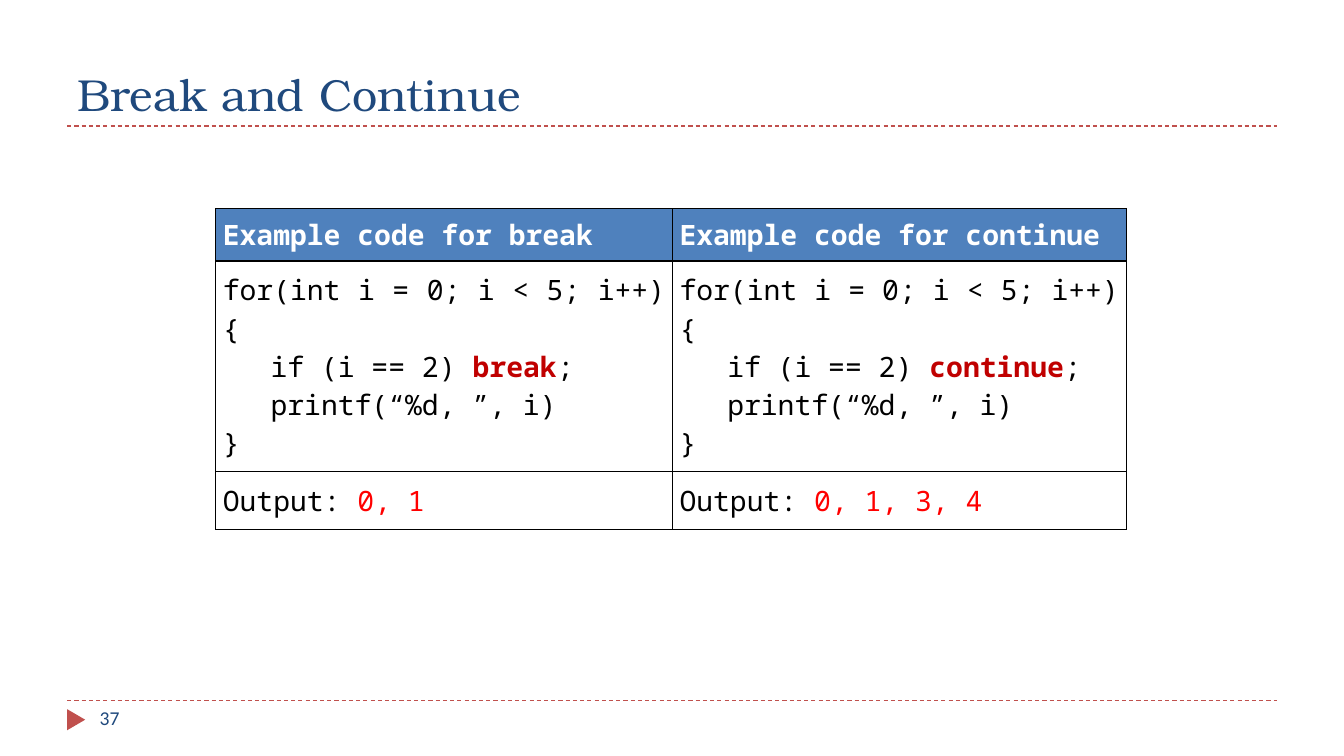
from lxml import etree
from pptx import Presentation
from pptx.dml.color import RGBColor
from pptx.enum.dml import MSO_LINE
from pptx.enum.shapes import MSO_CONNECTOR, MSO_SHAPE
from pptx.enum.text import MSO_ANCHOR, PP_ALIGN
from pptx.oxml.ns import qn
from pptx.util import Inches, Pt

STRAIGHT = MSO_CONNECTOR.STRAIGHT
TRIANGLE = MSO_SHAPE.ISOSCELES_TRIANGLE
DASH = MSO_LINE.DASH
JUSTIFY = PP_ALIGN.JUSTIFY
LEFT = PP_ALIGN.LEFT
MIDDLE = MSO_ANCHOR.MIDDLE
BOTTOM = MSO_ANCHOR.BOTTOM

WIDTH, HEIGHT = 13.33, 7.5
COLUMN = WIDTH / 20
MARGIN, CONTENT = COLUMN, 18 * COLUMN
TITLE_RULE, FOOTER_RULE = HEIGHT / 6, 6.95

NAVY, RED, BLUE = "1F497D", "C0504D", "4F81BD"
BLACK, WHITE, KEYWORD, RESULT = "000000", "FFFFFF", "C00000", "FF0000"
TITLE_FONT, CODE_FONT, NUMBER_FONT = "TeX Gyre Bonum", "Noto Sans Mono", "Calibri"

TABLE_LEFT, TABLE_TOP = 2.14, 2.07
COLUMN_WIDTHS = [4.53, 4.5]
ROW_HEIGHTS = [0.52, 2.09, 0.57]
CODE_INDENT = 0.14
EXAMPLES = [("break", "0, 1"), ("continue", "0, 1, 3, 4")]


def color(value):
    """Turn a hex string into a colour."""
    return RGBColor.from_string(value)


def set_font(font, name, size, value, bold=False):
    """Set the face, size, colour and weight of a font."""
    font.name, font.size, font.bold = name, Pt(size), bold
    font.color.rgb = color(value)


def add_title(slide, text):
    """Place and format the title placeholder."""
    title = slide.shapes.title
    top = 0.17
    title.left, title.top = Inches(MARGIN), Inches(top)
    title.width, title.height = Inches(CONTENT), Inches(TITLE_RULE - top)
    frame = title.text_frame
    frame.text = text
    frame.vertical_anchor = BOTTOM
    paragraph = frame.paragraphs[0]
    paragraph.alignment = LEFT
    set_font(paragraph.font, TITLE_FONT, 32, NAVY)


def add_rule(slide, height):
    """Draw a dashed rule across the content width."""
    rule = slide.shapes.add_connector(
        STRAIGHT, Inches(MARGIN), Inches(height), Inches(MARGIN + CONTENT), Inches(height))
    rule.line.color.rgb = color(RED)
    rule.line.width = Pt(0.75)
    rule.line.dash_style = DASH
    etree.SubElement(rule._element.spPr, qn("a:effectLst"))


def add_page_number(slide, number):
    """Draw the footer marker and the page number beside it."""
    marker = slide.shapes.add_shape(
        TRIANGLE, Inches(0.65), Inches(7.05), Inches(0.21), Inches(0.18))
    marker.rotation = 90
    marker.shadow.inherit = False
    marker.fill.solid()
    marker.fill.fore_color.rgb = color(RED)
    marker.line.fill.background()
    box = slide.shapes.add_textbox(
        Inches(0.89), Inches(FOOTER_RULE), Inches(2.89), Inches(0.4))
    box.text_frame.word_wrap = True
    paragraph = box.text_frame.paragraphs[0]
    paragraph.text = number
    set_font(paragraph.font, NUMBER_FONT, 14, NAVY)


def add_borders(cell):
    """Give a cell thin black borders on all sides."""
    properties = cell._tc.get_or_add_tcPr()
    for side in ("lnL", "lnR", "lnT", "lnB"):
        line = etree.SubElement(properties, qn(f"a:{side}"), w=str(Pt(1)))
        fill = etree.SubElement(line, qn("a:solidFill"))
        etree.SubElement(fill, qn("a:srgbClr"), val=BLACK)


def fill_cell(cell, lines, text_color=BLACK, bold=False, background=None):
    """Write lines of (text, colour, bold) pieces or plain strings into a cell."""
    cell.margin_left = cell.margin_right = Inches(0.07)
    cell.margin_top = cell.margin_bottom = 0
    cell.vertical_anchor = MIDDLE
    add_borders(cell)
    if background:
        cell.fill.solid()
        cell.fill.fore_color.rgb = color(background)
    else:
        cell.fill.background()
    frame = cell.text_frame
    for index, pieces in enumerate(lines):
        paragraph = frame.add_paragraph() if index else frame.paragraphs[0]
        paragraph.alignment = JUSTIFY
        if pieces[0][0].startswith(" "):
            properties = paragraph._p.get_or_add_pPr()
            properties.set("marL", "0")
            properties.set("indent", str(Inches(CODE_INDENT)))
        for text, *style in pieces:
            run = paragraph.add_run()
            run.text = text
            set_font(run.font, CODE_FONT, 20, *(style or (text_color, bold)))


def add_code_table(slide):
    """Compare the loop statements: heading, code and output."""
    frame = slide.shapes.add_table(
        len(ROW_HEIGHTS), len(COLUMN_WIDTHS), Inches(TABLE_LEFT), Inches(TABLE_TOP),
        Inches(sum(COLUMN_WIDTHS)), Inches(sum(ROW_HEIGHTS)))
    table = frame.table
    table.horz_banding = False
    for column, width in zip(table.columns, COLUMN_WIDTHS):
        column.width = Inches(width)
    for row, height in zip(table.rows, ROW_HEIGHTS):
        row.height = Inches(height)
    for index, (keyword, output) in enumerate(EXAMPLES):
        code = [
            [("for(int i = 0; i < 5; i++){",)],
            [("  if (i == 2) ",), (keyword, KEYWORD, True), (";",)],
            [("  printf(“%d, ”, i)",)],
            [("}",)],
        ]
        fill_cell(table.cell(0, index), [[(f"Example code for {keyword}",)]], WHITE, True, BLUE)
        fill_cell(table.cell(1, index), code)
        fill_cell(table.cell(2, index), [[("Output: ",), (output, RESULT)]])


def main():
    """Build the slide and save it."""
    presentation = Presentation()
    presentation.slide_width, presentation.slide_height = Inches(WIDTH), Inches(HEIGHT)
    slide = presentation.slides.add_slide(presentation.slide_layouts[5])
    for height in (FOOTER_RULE, TITLE_RULE):
        add_rule(slide, height)
    add_title(slide, "Break and Continue")
    add_page_number(slide, "37")
    add_code_table(slide)
    presentation.save("out.pptx")


if __name__ == "__main__":
    main()
